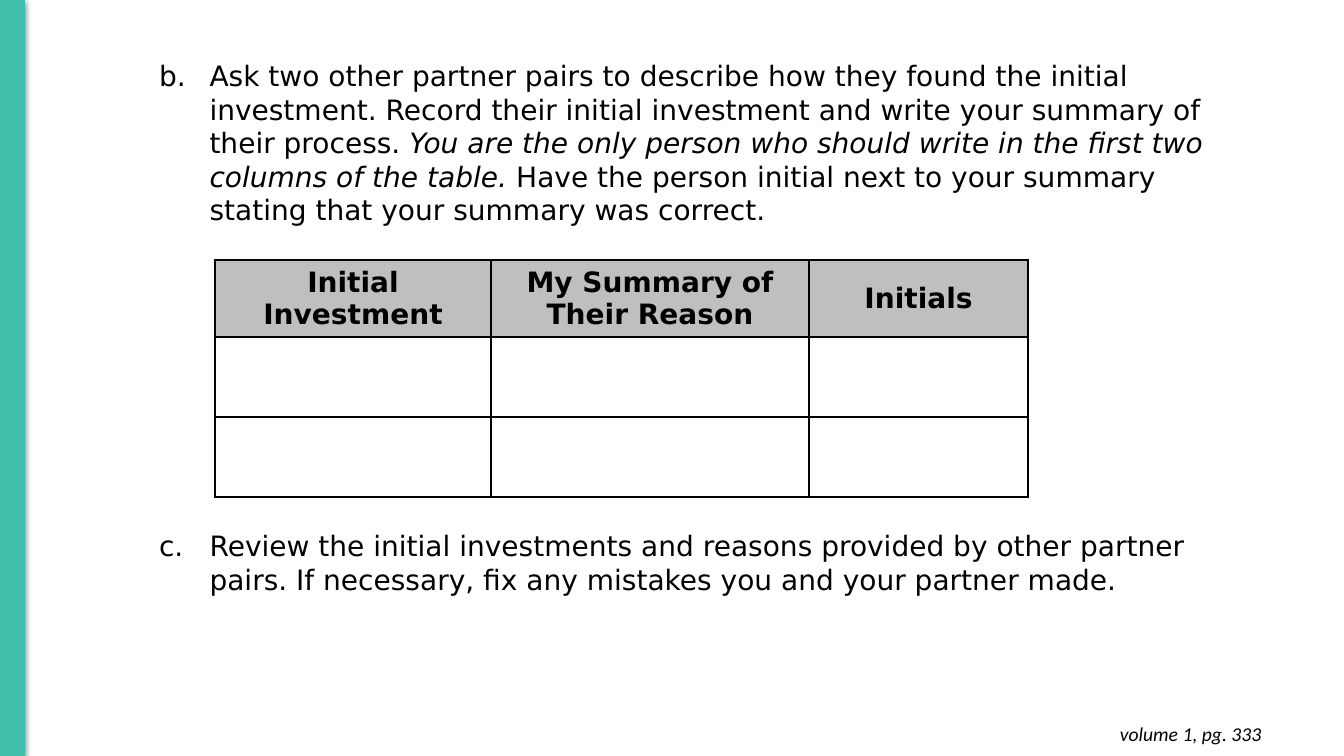
from dataclasses import dataclass

from lxml import etree
from pptx import Presentation, util as u
from pptx.dml.color import RGBColor
from pptx.enum import shapes, text
from pptx.oxml import parse_xml
from pptx.oxml.ns import nsdecls, qn


@dataclass(frozen=True)
class Theme:
    ink: str = "000000"
    accent: str = "41BFAC"
    header: str = "BFBFBF"
    body_font: str = "DejaVu Sans"
    footer_font: str = "Calibri"
    body_size: int = 20
    footer_size: int = 14
    border: float = 1.5


THEME = Theme()
WIDTH, HEIGHT = 13.33, 7.5
TABLE_GAP = 216  # points left between the two questions

QUESTIONS = [
    [("Ask two other partner pairs to describe how they found the initial investment. "
      "Record their initial investment and write your summary of their process. ", False),
     ("You are the only person who should write in the first two columns of the table.", True),
     (" Have the person initial next to your summary stating that your summary was correct.",
      False)],
    [("Review the initial investments and reasons provided by other partner pairs. "
      "If necessary, fix any mistakes you and your partner made.", False)],
]
HEADINGS = ["Initial Investment", "My Summary of Their Reason", "Initials"]
COLUMN_SHARES = [0.34, 0.39, 0.27]
ROW_HEIGHTS = [0.76, 0.79, 0.79]


def inches(box):
    return [u.Inches(length) for length in box]


def style_run(run, font, size, bold=False, italic=False):
    run.font.name = font
    run.font.size = u.Pt(size)
    run.font.bold = bold
    run.font.italic = italic
    run.font.color.rgb = RGBColor.from_string(THEME.ink)


def letter_paragraph(paragraph, start):
    """Number a paragraph with lower-case letters and a hanging indent."""
    properties = paragraph._p.get_or_add_pPr()
    properties.set("marL", str(u.Inches(0.98)))
    properties.set("indent", str(u.Inches(-0.5)))
    color = etree.SubElement(properties, qn("a:buClr"))
    etree.SubElement(color, qn("a:srgbClr"), val=THEME.ink)
    etree.SubElement(properties, qn("a:buAutoNum"), type="alphaLcPeriod", startAt=str(start))


def add_side_bar(slide, box):
    bar = slide.shapes.add_shape(shapes.MSO_SHAPE.RECTANGLE, *inches(box))
    bar.fill.solid()
    bar.fill.fore_color.rgb = RGBColor.from_string(THEME.accent)
    bar.line.color.rgb = RGBColor.from_string(THEME.accent)
    bar.line.width = u.Pt(0.75)
    bar.shadow.inherit = False
    effects = bar._element.spPr.find(qn("a:effectLst"))
    effects.append(parse_xml(
        f'<a:outerShdw {nsdecls("a")} blurRad="{u.Pt(4.5)}" dist="{u.Pt(1.5)}" dir="5400000" '
        f'rotWithShape="0"><a:srgbClr val="{THEME.ink}"><a:alpha val="50000"/></a:srgbClr>'
        '</a:outerShdw>'))


def add_questions(slide, box):
    frame = slide.shapes.add_textbox(*inches(box)).text_frame
    frame.word_wrap = True
    for index, parts in enumerate(QUESTIONS):
        paragraph = frame.add_paragraph() if index else frame.paragraphs[0]
        if index:
            paragraph.space_before = u.Pt(TABLE_GAP)
        letter_paragraph(paragraph, start=2)
        for words, italic in parts:
            run = paragraph.add_run()
            run.text = words
            style_run(run, THEME.body_font, THEME.body_size, italic=italic)


def border_cell(cell):
    properties = cell._tc.get_or_add_tcPr()
    for position, side in enumerate(("lnL", "lnR", "lnT", "lnB")):
        properties.insert(position, parse_xml(
            f'<a:{side} {nsdecls("a")} w="{u.Pt(THEME.border)}"><a:solidFill>'
            f'<a:srgbClr val="{THEME.ink}"/></a:solidFill></a:{side}>'))


def add_summary_table(slide, box):
    frame = slide.shapes.add_table(len(ROW_HEIGHTS), len(HEADINGS), *inches(box))
    table = frame.table
    table.horz_banding = False
    for column, share in zip(table.columns, COLUMN_SHARES):
        column.width = u.Inches(box[2] * share)
    for row, height in zip(table.rows, ROW_HEIGHTS):
        row.height = u.Inches(height)
    for cell in table.iter_cells():
        cell.fill.background()
        border_cell(cell)
    for cell, heading in zip(table.rows[0].cells, HEADINGS):
        cell.fill.solid()
        cell.fill.fore_color.rgb = RGBColor.from_string(THEME.header)
        cell.vertical_anchor = text.MSO_ANCHOR.MIDDLE
        cell.text_frame.text = heading
        paragraph = cell.text_frame.paragraphs[0]
        paragraph.alignment = text.PP_ALIGN.CENTER
        style_run(paragraph.runs[0], THEME.body_font, THEME.body_size, bold=True)


def add_page_reference(slide, box):
    frame = slide.shapes.add_textbox(*inches(box)).text_frame
    frame.word_wrap = True
    frame.margin_top = frame.margin_bottom = u.Inches(0.1)
    frame.text = "volume 1, pg. 333"
    paragraph = frame.paragraphs[0]
    paragraph.alignment = text.PP_ALIGN.RIGHT
    style_run(paragraph.runs[0], THEME.footer_font, THEME.footer_size, italic=True)


def main():
    presentation = Presentation()
    presentation.slide_width, presentation.slide_height = inches((WIDTH, HEIGHT))
    slide = presentation.slides.add_slide(presentation.slide_layouts[6])
    add_questions(slide, (1, 0.53, 11.5, 5.49))
    add_side_bar(slide, (0, 0, 0.24, HEIGHT))
    add_summary_table(slide, (2.13, 2.58, 8.07, sum(ROW_HEIGHTS)))
    add_page_reference(slide, (9.73, 7.06, 2.88, 0.44))
    presentation.save("out.pptx")


if __name__ == "__main__":
    main()
